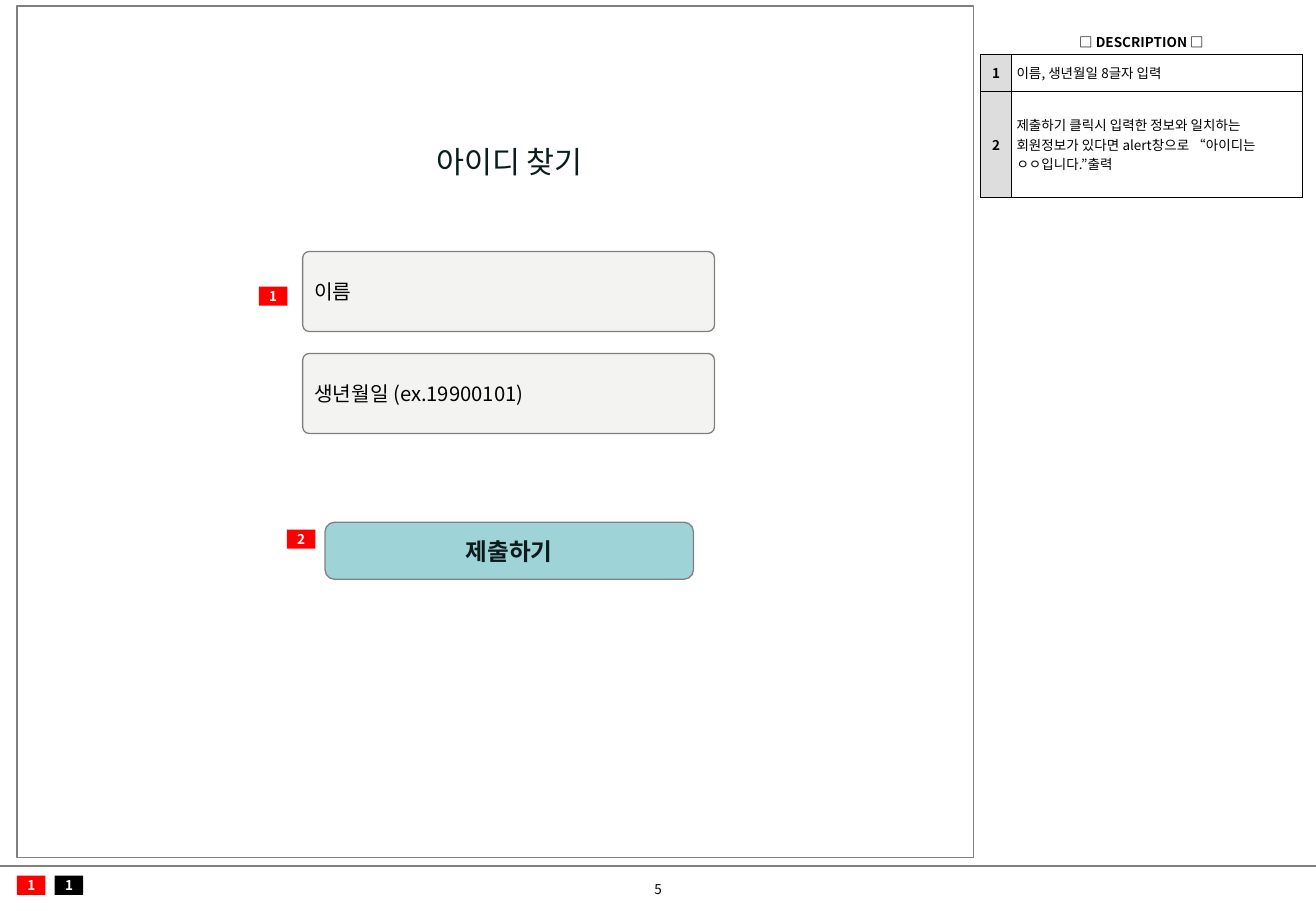
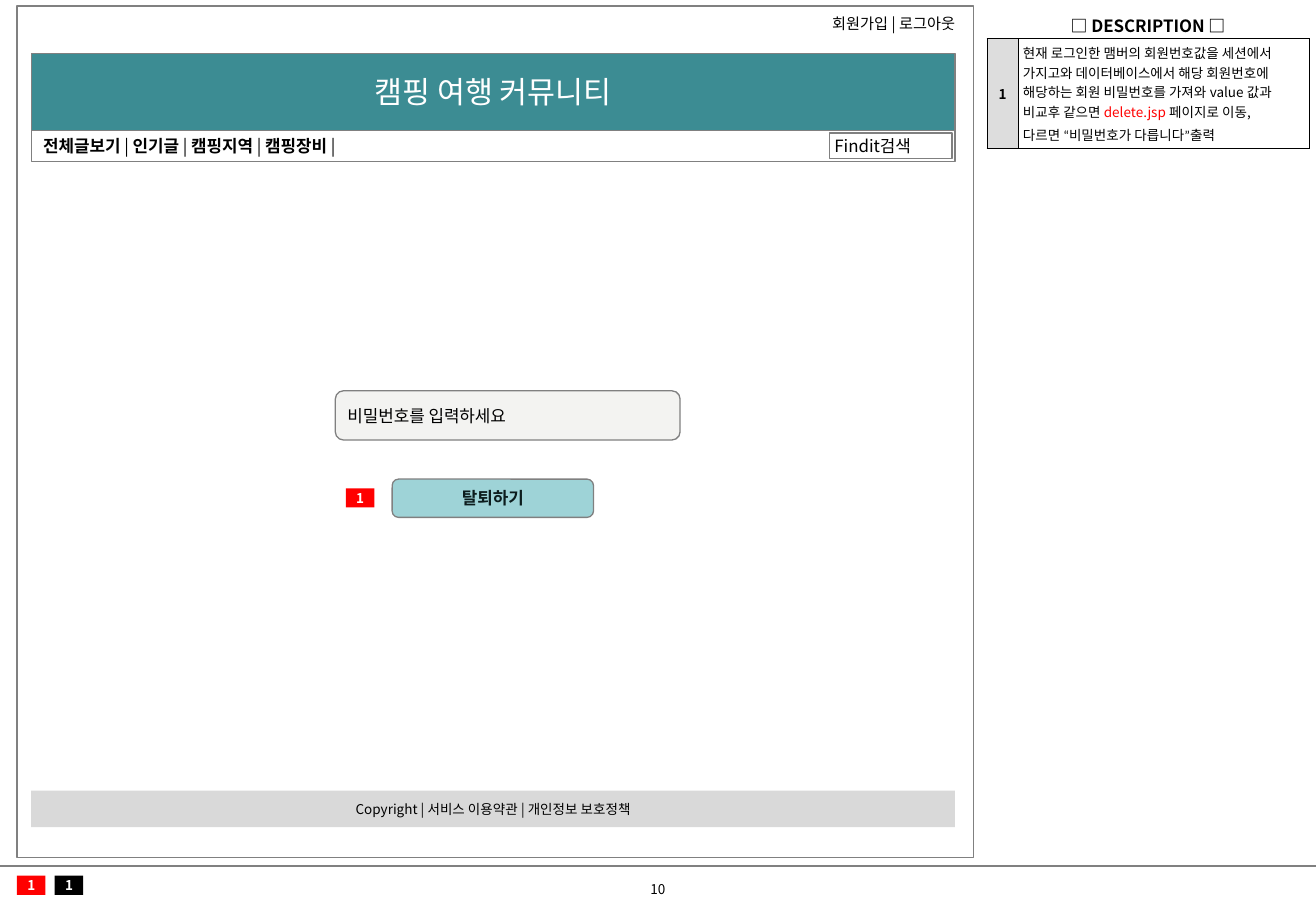
import pptx
import pptx.util
import pptx.dml.color
import pptx.enum.shapes
import pptx.enum.text
import pptx.oxml
import pptx.oxml.ns
import lxml.etree

Inch, Pt = pptx.util.Inches, pptx.util.Pt
RGB = pptx.dml.color.RGBColor
KIND = pptx.enum.shapes.MSO_SHAPE
ALIGN = pptx.enum.text.PP_ALIGN
MID = pptx.enum.text.MSO_ANCHOR.MIDDLE
qn = pptx.oxml.ns.qn

FONT = "Noto Sans CJK KR"
BLACK = RGB(0x00, 0x00, 0x00)
WHITE = RGB(0xFF, 0xFF, 0xFF)
INK = RGB(0x0C, 0x1C, 0x1D)
GRAY = RGB(0x80, 0x80, 0x80)
RED = RGB(0xFF, 0x00, 0x00)
TEAL = RGB(0x3C, 0x8C, 0x93)
AQUA = RGB(0x9E, 0xD3, 0xD7)
PALE = RGB(0xF3, 0xF3, 0xF1)
SILVER = RGB(0xD9, 0xD9, 0xD9)
HEAD = RGB(0xDD, 0xDD, 0xDD)

deck = pptx.Presentation()
deck.slide_width, deck.slide_height = Inch(10.83), Inch(7.5)

# Grid: 100 columns by 100 rows
COL = deck.slide_width / 100
ROW = deck.slide_height / 100
TAG = (2.17, 2.1)


def write(para, runs, size, color=BLACK, bold=False, center=False):
    """Fill a paragraph; a run is a text or (text, changes)."""
    para.alignment = ALIGN.CENTER if center else ALIGN.LEFT
    for item in [runs] if isinstance(runs, str) else runs:
        text, look = (item, {}) if isinstance(item, str) else item
        run = para.add_run()
        run.text = text
        font = run.font
        font.size = Pt(size)
        font.bold = look.get("bold", bold)
        font.color.rgb = look.get("color", color)
        font.name = look.get("font", FONT)
        east = lxml.etree.SubElement(run._r.get_or_add_rPr(), qn("a:ea"))
        east.set("typeface", font.name)


def box(slide, x, y, w, h, fill=None, line=None, runs="", size=8,
        color=BLACK, bold=False, center=True, pad=0, bend=None):
    """Add a rectangle, rounded when bend is given, placed on the grid."""
    kind = KIND.RECTANGLE if bend is None else KIND.ROUNDED_RECTANGLE
    shape = slide.shapes.add_shape(
        kind, int(x * COL), int(y * ROW), int(w * COL), int(h * ROW))
    shape.shadow.inherit = False
    if bend is not None:
        shape.adjustments[0] = bend
    if fill is None:
        shape.fill.background()
    else:
        shape.fill.solid()
        shape.fill.fore_color.rgb = fill
    if line is None:
        shape.line.fill.background()
    else:
        shape.line.color.rgb = line
        shape.line.width = Pt(0.77)
    frame = shape.text_frame
    frame.word_wrap = True
    frame.vertical_anchor = MID
    frame.margin_left = Inch(pad)
    frame.margin_right = frame.margin_top = frame.margin_bottom = 0
    if runs:
        write(frame.paragraphs[0], runs, size, color, bold, center)


# Page number, table place, heading size, row heights, notes
PAGES = [
    ("5", 74.52, 2.67, 8, [3.29, 4.06, 11.6], [
        ["이름, 생년월일 8글자 입력"],
        ["제출하기 클릭시 입력한 정보와 일치하는 회원정보가 있다면 "
         "alert창으로 “아이디는 ㅇㅇ입니다.”출력"],
    ]),
    ("10", 75, 0.67, 10, [3.56, 12.07], [
        [["현재 로그인한 맴버의 회원번호값을 세션에서 가지고와 "
          "데이터베이스에서 해당 회원번호에 해당하는 회원 비밀번호를 "
          "가져와 value 값과 비교후 같으면 ",
          ("delete.jsp ", {"color": RED}), "페이지로 이동,"],
         ["다르면 ", ("“", {"font": "Calibri"}), "비밀번호가 다릅니다",
          ("”", {"font": "Calibri"}), "출력"]],
    ]),
]

# Parts on every slide
for page, left, top, big, rows, notes in PAGES:
    slide = deck.slides.add_slide(deck.slide_layouts[6])
    box(slide, 1.29, 0.67, 72.67, 93.47, line=GRAY)
    rule = slide.shapes.add_connector(
        pptx.enum.shapes.MSO_CONNECTOR.STRAIGHT,
        0, int(95.07 * ROW), deck.slide_width, int(95.07 * ROW))
    rule.line.color.rgb = GRAY
    rule.line.width = Pt(0.77)
    lxml.etree.SubElement(rule._element.spPr, qn("a:effectLst"))
    for x, fill in ((1.29, RED), (4.16, BLACK)):
        box(slide, x, 96.13, *TAG, fill, runs="1", color=WHITE, bold=True)
    box(slide, 46.54, 95.87, 6.93, 3.47, runs=page)

    # Description table
    wide = [2.36, 22.1]
    table = slide.shapes.add_table(
        len(rows), 2, int(left * COL), int(top * ROW),
        int(sum(wide) * COL), int(sum(rows) * ROW)).table
    table.first_row = table.horz_banding = False
    for col, w in zip(table.columns, wide):
        col.width = int(w * COL)
    for row, h in zip(table.rows, rows):
        row.height = int(h * ROW)
    table.cell(0, 0).merge(table.cell(0, 1))
    for r in range(len(rows)):
        for c in range(2):
            cell = table.cell(r, c)
            cell.vertical_anchor = MID
            cell.margin_left = cell.margin_right = Inch(0.04)
            cell.margin_top = Inch(0.03 if r else 0.05)
            cell.margin_bottom = Inch(0.03 if r else 0.01)
            props = cell._tc.get_or_add_tcPr()
            for side in "LRTB":
                edge = lxml.etree.SubElement(props, qn("a:ln" + side))
                edge.set("w", str(Pt(0.45)))
                if r == 0 and side != "B":
                    lxml.etree.SubElement(edge, qn("a:noFill"))
                    continue
                paint = lxml.etree.SubElement(edge, qn("a:solidFill"))
                tint = lxml.etree.SubElement(paint, qn("a:srgbClr"))
                tint.set("val", str(BLACK))
            cell.fill.solid()
            cell.fill.fore_color.rgb = HEAD if r and c == 0 else WHITE
            first = cell.text_frame.paragraphs[0]
            if r == 0 and c == 0:
                write(first, "□ DESCRIPTION □", big, bold=True, center=True)
            elif r and c == 0:
                write(first, str(r), 8, bold=True, center=True)
            elif r:
                for n, runs in enumerate(notes[r - 1]):
                    para = cell.text_frame.add_paragraph() if n else first
                    if n:
                        para.space_before = Pt(2)
                    write(para, runs, 8)

find, leave = deck.slides

# Find-ID form
box(find, 32.23, 15.07, 14, 5.33, runs="아이디 찾기", size=18,
    color=INK, center=False, pad=0.1)
for n, label in enumerate(("이름", "생년월일 (ex.19900101)")):
    box(find, 23, 27.6 + 11.2 * n, 31.3, 8.8, PALE, GRAY, label, 12,
        center=False, pad=0.08, bend=0.083)
box(find, 24.7, 57.33, 28, 6.27, AQUA, GRAY, "제출하기", 14, INK, True,
    bend=0.167)

# Site header and footer
box(leave, 62.33, 0.93, 11.82, 3.33, runs="회원가입 | 로그아웃", size=9,
    center=False, pad=0.1)
box(leave, 2.37, 5.87, 70.2, 8.43, TEAL, GRAY, "캠핑 여행 커뮤니티", 18, WHITE)
menu = []
for label in ("전체글보기", "인기글", "캠핑지역", "캠핑장비"):
    menu += [(label + " ", {"bold": True}), "| "]
menu[-1] = "|"
box(leave, 2.37, 14.3, 70.2, 3.4, WHITE, GRAY, menu, 10,
    center=False, pad=0.1)
box(leave, 63.04, 14.6, 9.3, 2.8, WHITE, GRAY, "Findit검색", 10,
    center=False, pad=0.04)
box(leave, 2.37, 86.8, 70.2, 4, SILVER,
    runs="Copyright | 서비스 이용약관 | 개인정보 보호정책")

# Leave form
box(leave, 25.48, 42.9, 26.2, 5.4, PALE, GRAY, "비밀번호를 입력하세요", 10,
    center=False, pad=0.08, bend=0.167)
box(leave, 29.8, 52.6, 15.3, 4.2, AQUA, GRAY, "탈퇴하기", 10, INK, True,
    bend=0.167)

# Red callout tags
for slide, x, y, mark in ((find, 19.67, 31.47, "1"), (find, 21.8, 58.13, "2"),
                          (leave, 26.28, 53.6, "1")):
    box(slide, x, y, *TAG, RED, runs=mark, color=WHITE, bold=True)

deck.save("out.pptx")
